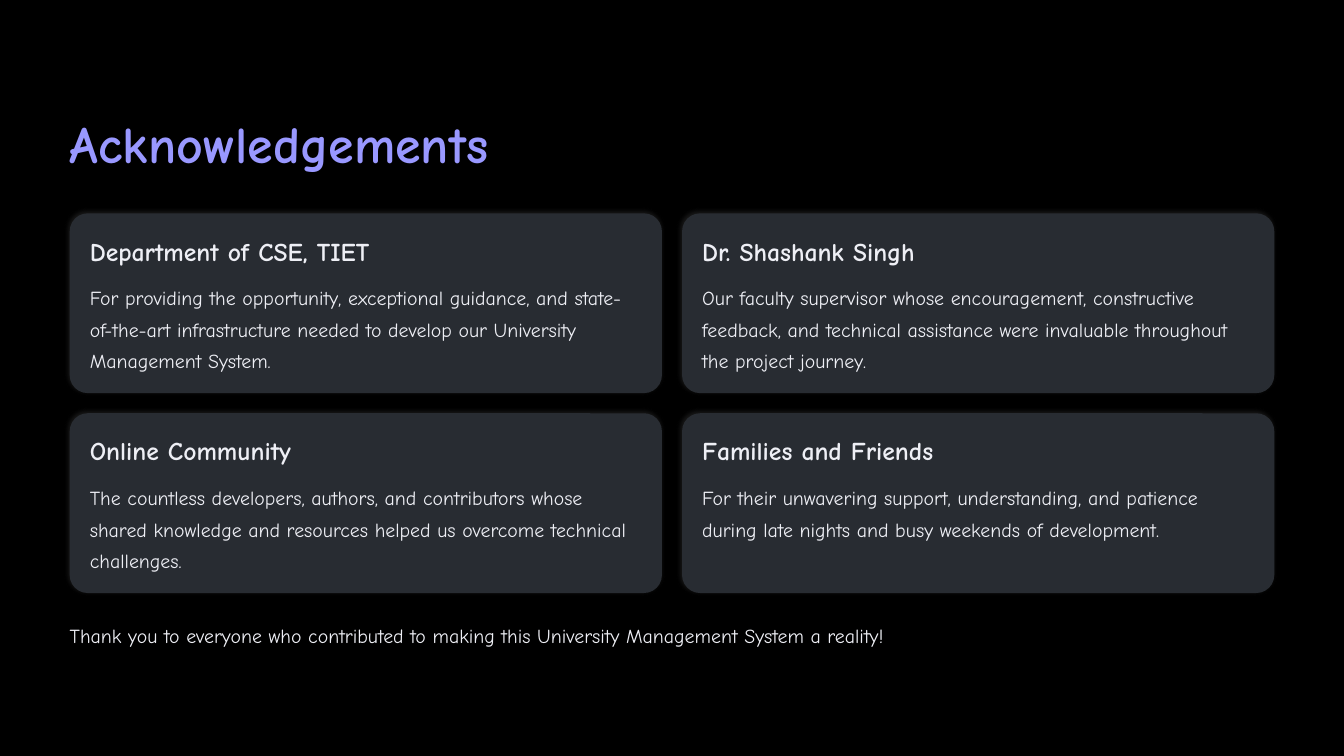
from lxml.etree import SubElement
from pptx import Presentation
from pptx.dml.color import RGBColor
from pptx.enum.shapes import MSO_SHAPE
from pptx.oxml.ns import qn
from pptx.util import Inches, Pt

WIDTH, HEIGHT = 16, 9
MARGIN = 0.83
GAP = 0.24  # between cards, and from card edge to its text
CARD_TOP, CARD_HEIGHT = 2.54, 2.14
CONTENT_WIDTH = WIDTH - 2 * MARGIN
CARD_WIDTH = (CONTENT_WIDTH - GAP) / 2
TEXT_WIDTH = CARD_WIDTH - 2 * GAP
PALE = "EEEFF5"

ACKNOWLEDGEMENTS = [
    ("Department of CSE, TIET",
     "For providing the opportunity, exceptional guidance, and state-of-the-art "
     "infrastructure needed to develop our University Management System."),
    ("Dr. Shashank Singh",
     "Our faculty supervisor whose encouragement, constructive feedback, and "
     "technical assistance were invaluable throughout the project journey."),
    ("Online Community",
     "The countless developers, authors, and contributors whose shared knowledge "
     "and resources helped us overcome technical challenges."),
    ("Families and Friends",
     "For their unwavering support, understanding, and patience during late nights "
     "and busy weekends of development."),
]

presentation = Presentation()
presentation.slide_width, presentation.slide_height = Inches(WIDTH), Inches(HEIGHT)
slide = presentation.slides.add_slide(presentation.slide_layouts[6])


def paint(fill, colour):
    fill.solid()
    fill.fore_color.rgb = RGBColor.from_string(colour)


def add_text(text, left, top, width, height, size=17, leading=27,
             colour=PALE, bold=False, wrap=False):
    box = slide.shapes.add_textbox(*map(Inches, (left, top, width, height)))
    frame = box.text_frame
    frame.margin_left = frame.margin_top = frame.margin_right = frame.margin_bottom = 0
    frame.word_wrap = wrap
    paragraph = frame.paragraphs[0]
    paragraph.line_spacing = Pt(leading)
    run = paragraph.add_run()
    run.text = text
    run.font.name, run.font.size, run.font.bold = "Comic Neue", Pt(size), bold
    paint(run.font.fill, colour)


paint(slide.background.fill, "000000")
add_text("Acknowledgements", MARGIN, 1.29, 6.24, 0.78,
         size=44.5, leading=56, colour="9998FF", bold=True)

for index, (heading, thanks) in enumerate(ACKNOWLEDGEMENTS):
    row, column = divmod(index, 2)
    left = MARGIN + column * (CARD_WIDTH + GAP)
    top = CARD_TOP + row * (CARD_HEIGHT + GAP)
    card = slide.shapes.add_shape(
        MSO_SHAPE.ROUNDED_RECTANGLE,
        *map(Inches, (left, top, CARD_WIDTH, CARD_HEIGHT)))
    card.adjustments[0] = 0.1
    paint(card.fill, "282C32")
    card.line.fill.background()

    # Faint white glow towards the upper left
    card.shadow.inherit = False
    effects = card._element.spPr.find(qn("a:effectLst"))
    glow = SubElement(effects, qn("a:outerShdw"), blurRad=str(Pt(4.2)),
                      dist=str(Pt(2.1)), dir=str(225 * 60000),
                      algn="ctr", rotWithShape="0")
    glow_colour = SubElement(glow, qn("a:srgbClr"), val="FFFFFF")
    SubElement(glow_colour, qn("a:alpha"), val="10000")

    add_text(heading, left + GAP, top + GAP, TEXT_WIDTH, 0.39,
             size=22, leading=28, bold=True)
    add_text(thanks, left + GAP, top + 0.77, TEXT_WIDTH, 1.14, wrap=True)

add_text("Thank you to everyone who contributed to making this "
         "University Management System a reality!",
         MARGIN, 7.33, CONTENT_WIDTH, 0.38)

presentation.save("out.pptx")
